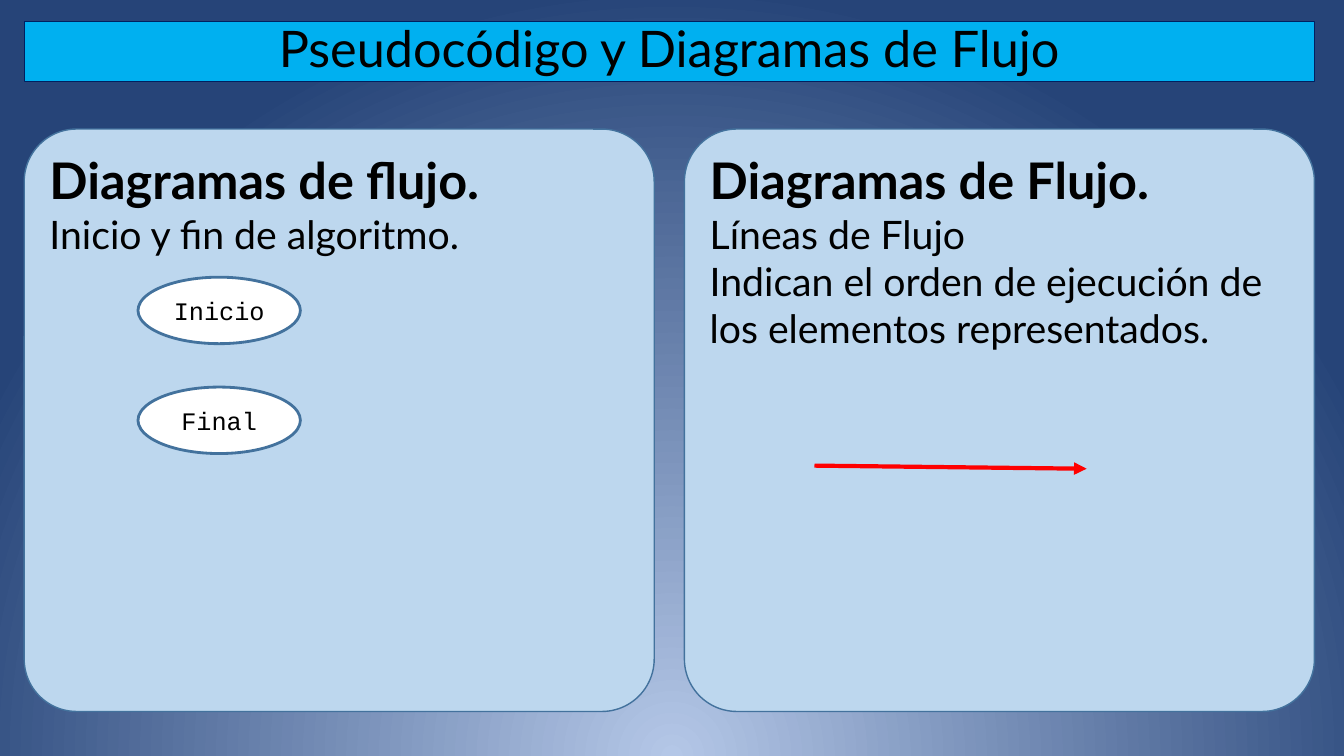
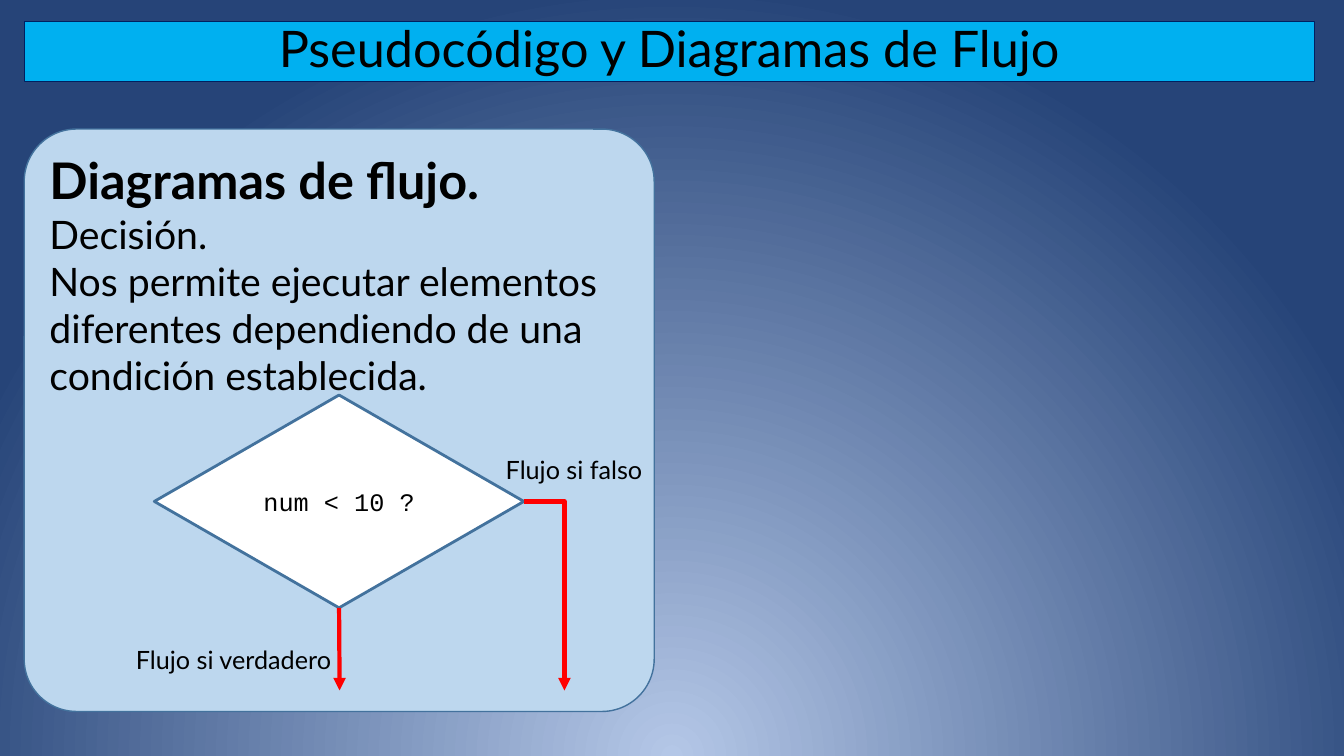
from lxml import etree
from pptx import Presentation
from pptx.dml.color import RGBColor
from pptx.enum.shapes import MSO_CONNECTOR, MSO_SHAPE
from pptx.enum.text import MSO_ANCHOR, MSO_AUTO_SIZE, PP_ALIGN
from pptx.oxml.ns import qn
from pptx.util import Pt

# Colours
BLACK = RGBColor(0x00, 0x00, 0x00)
WHITE = RGBColor(0xFF, 0xFF, 0xFF)
RED = RGBColor(0xFF, 0x00, 0x00)
CYAN = RGBColor(0x00, 0xB0, 0xF0)
NAVY = RGBColor(0x00, 0x20, 0x60)
PALE = RGBColor(0xBD, 0xD7, 0xEE)
STEEL = RGBColor(0x43, 0x72, 0x9D)
GLOW = RGBColor(0xB4, 0xC7, 0xE7)
DEEP = RGBColor(0x26, 0x44, 0x78)

# Enum members
RECT, ROUND = MSO_SHAPE.RECTANGLE, MSO_SHAPE.ROUNDED_RECTANGLE
OVAL, DIAMOND = MSO_SHAPE.OVAL, MSO_SHAPE.DIAMOND
STRAIGHT, ELBOW = MSO_CONNECTOR.STRAIGHT, MSO_CONNECTOR.ELBOW
TOP, MIDDLE = MSO_ANCHOR.TOP, MSO_ANCHOR.MIDDLE
START, CENTER = PP_ALIGN.LEFT, PP_ALIGN.CENTER
GROW = MSO_AUTO_SIZE.SHAPE_TO_FIT_TEXT

# Fonts and page grid, in points
SANS, MONO = "Lato", "Courier New"
LEFT, SPAN = 17.3, 921.6
PANEL_W, PANEL_H, PANEL_Y = 450, 416, 92.2
TITLE = "Pseudocódigo y Diagramas de Flujo"
BOTTOM, RIGHT = 2, 3


def set_back(master):
    """Radial gradient that glows from the bottom centre."""
    fill = master.background.fill
    fill.gradient()
    for stop, color, pos in zip(fill.gradient_stops, (GLOW, DEEP), (0, 1)):
        stop.color.rgb = color
        stop.position = pos
    grad = master.element.find(".//" + qn("a:gradFill"))
    grad.remove(grad.find(qn("a:lin")))
    ring = etree.SubElement(grad, qn("a:path"), {"path": "circle"})
    etree.SubElement(ring, qn("a:fillToRect"),
                     {"l": "50000", "t": "100000", "r": "50000", "b": "0"})


def add_text(frame, rows, align):
    """Each row is (text, size, font, bold)."""
    for i, (text, size, font, bold) in enumerate(rows):
        para = frame.paragraphs[0] if i == 0 else frame.add_paragraph()
        para.alignment = align
        run = para.add_run()
        run.text = text
        run.font.size = Pt(size)
        run.font.name = font
        run.font.bold = bold
        run.font.color.rgb = BLACK


def add_box(slide, kind, area, fill, edge, width, rows,
            align=CENTER, anchor=MIDDLE):
    shape = slide.shapes.add_shape(kind, *map(Pt, area))
    shape.shadow.inherit = False
    shape.fill.solid()
    shape.fill.fore_color.rgb = fill
    shape.line.color.rgb = edge
    shape.line.width = Pt(width)
    frame = shape.text_frame
    frame.word_wrap = True
    frame.vertical_anchor = anchor
    add_text(frame, rows, align)
    return shape


def add_page(deck):
    """Blank slide with the title band."""
    slide = deck.slides.add_slide(deck.slide_layouts[6])
    band = add_box(slide, RECT, (LEFT, 15.1, SPAN, 43.2), CYAN, NAVY, 0,
                   [(TITLE, 36, SANS, False)])
    band.text_frame.paragraphs[0].line_spacing = 0.9
    return slide


def add_panel(slide, col, head, *lines):
    left = LEFT + col * (SPAN - PANEL_W)
    rows = [(head, 36, SANS, True)]
    rows += [(line, 28, SANS, False) for line in lines]
    panel = add_box(slide, ROUND, (left, PANEL_Y, PANEL_W, PANEL_H),
                    PALE, STEEL, 1, rows, START, TOP)
    panel.adjustments[0] = 0.09


def add_node(slide, kind, area, text):
    return add_box(slide, kind, area, WHITE, STEEL, 2,
                   [(text, 18, MONO, False)])


def add_label(slide, area, text):
    frame = slide.shapes.add_textbox(*map(Pt, area)).text_frame
    frame.word_wrap = False
    frame.auto_size = GROW
    add_text(frame, [(text, 18, SANS, False)], START)


def add_arrow(slide, kind, start, end, node=None, side=None):
    arrow = slide.shapes.add_connector(kind, *map(Pt, start + end))
    arrow.line.color.rgb = RED
    arrow.line.width = Pt(3)
    if node is not None:
        arrow.begin_connect(node, side)
    props = arrow.element.spPr
    if kind == ELBOW:  # a single bend
        props.find(qn("a:prstGeom")).set("prst", "bentConnector2")
    etree.SubElement(props.find(qn("a:ln")), qn("a:tailEnd"),
                     {"type": "triangle"})
    etree.SubElement(props, qn("a:effectLst"))


def add_flow(deck):
    """Start, end and flow lines."""
    slide = add_page(deck)
    add_panel(slide, 0, "Diagramas de flujo.", "Inicio y fin de algoritmo.")
    add_panel(slide, 1, "Diagramas de Flujo.", "Líneas de Flujo",
              "Indican el orden de ejecución de los elementos representados.")
    for i, text in enumerate(("Inicio", "Final")):
        add_node(slide, OVAL, (98.6, 198 + i * 78.5, 116, 47.5), text)
    add_arrow(slide, STRAIGHT, (581.8, 332.6), (776.2, 334.8))


def add_choice(deck):
    """Decision with its two branches."""
    slide = add_page(deck)
    add_panel(slide, 0, "Diagramas de flujo.", "Decisión.",
              "Nos permite ejecutar elementos diferentes dependiendo "
              "de una condición establecida.")
    node = add_node(slide, DIAMOND, (110.2, 282.2, 264, 152), "num < 10 ?")
    add_arrow(slide, STRAIGHT, (242.2, 434.2), (242.6, 493.2), node, BOTTOM)
    add_label(slide, (90, 456.5, 164.2, 28.8), "Flujo si verdadero")
    add_arrow(slide, ELBOW, (374.2, 358.2), (403.2, 493.2), node, RIGHT)
    add_label(slide, (354.2, 321.1, 118.1, 28.8), "Flujo si falso")


def main():
    deck = Presentation()
    deck.slide_width, deck.slide_height = Pt(960), Pt(540)
    set_back(deck.slide_master)
    add_flow(deck)
    add_choice(deck)
    deck.save("out.pptx")


if __name__ == "__main__":
    main()
